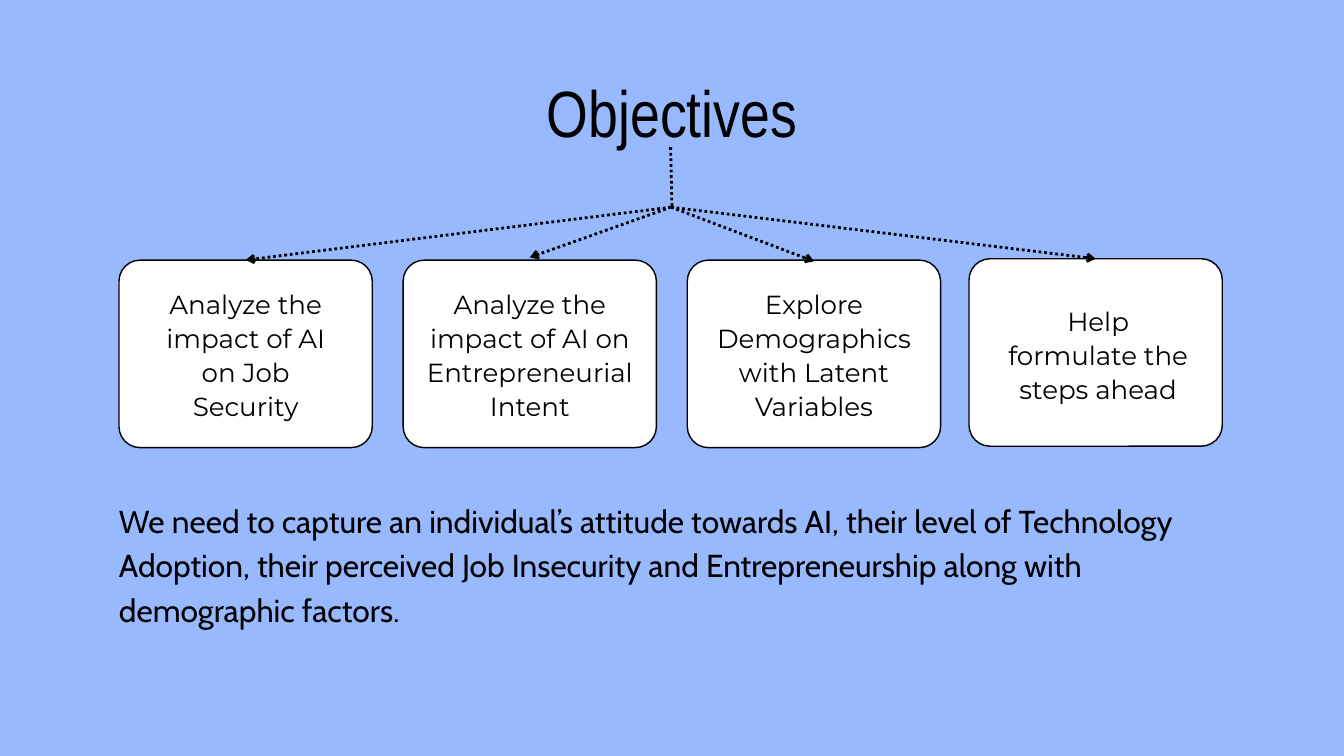
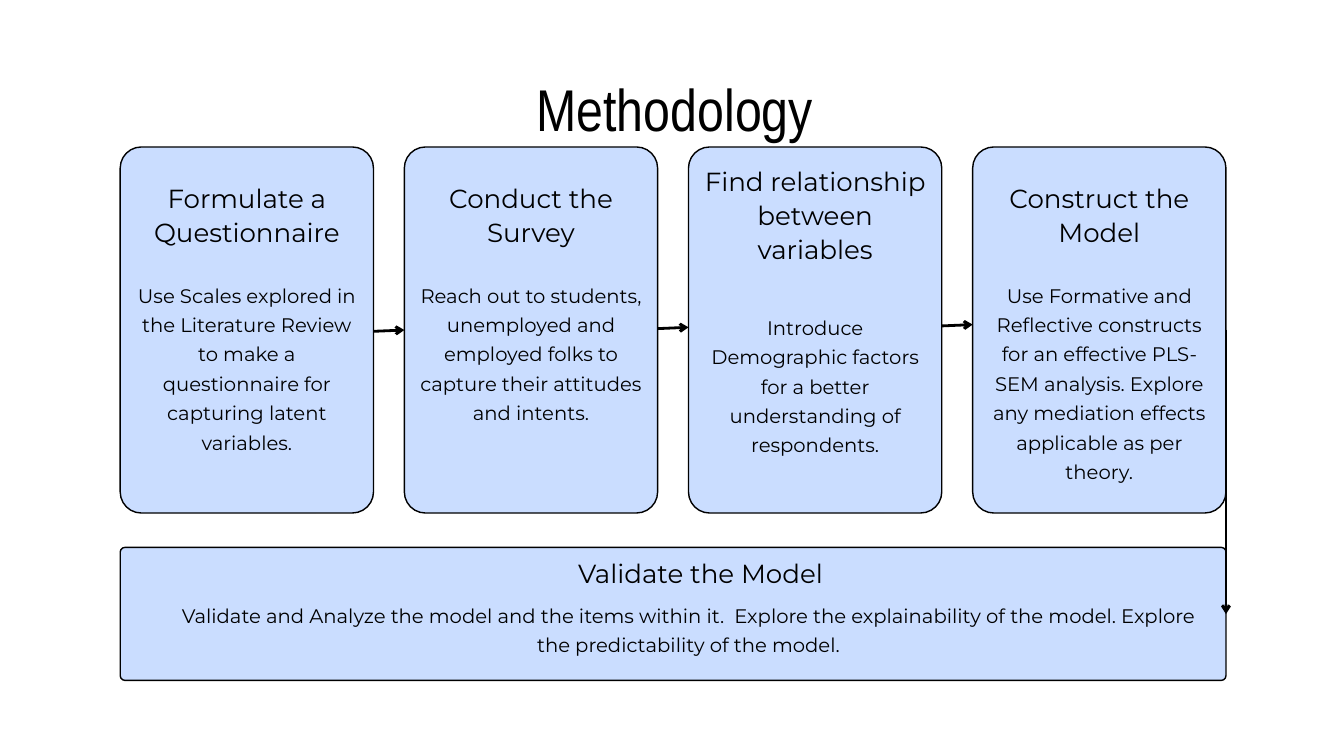
from dataclasses import dataclass

from lxml import etree
from pptx import Presentation
from pptx.dml.color import RGBColor
from pptx.enum.dml import MSO_LINE
from pptx.enum.shapes import MSO_CONNECTOR, MSO_SHAPE
from pptx.enum.text import MSO_ANCHOR, MSO_AUTO_SIZE, PP_ALIGN
from pptx.oxml.ns import qn
from pptx.util import Pt

CENTER = PP_ALIGN.CENTER
LEFT = PP_ALIGN.LEFT
TOP = MSO_ANCHOR.TOP
GROW = MSO_AUTO_SIZE.SHAPE_TO_FIT_TEXT
DOTTED = MSO_LINE.ROUND_DOT
STRAIGHT = MSO_CONNECTOR.STRAIGHT
ROUNDED = MSO_SHAPE.ROUNDED_RECTANGLE
TITLE_ONLY = 5


@dataclass(frozen=True)
class Theme:
    ink: str = "000000"
    white: str = "FFFFFF"
    sky: str = "99B9FF"
    pale_sky: str = "CADDFF"
    title_font: str = "Arial Narrow"
    card_font: str = "Montserrat"
    summary_font: str = "Cabin"
    heading_size: float = 28
    heading_spacing: float = 36.4
    body_size: float = 21
    body_spacing: float = 31.5
    summary_size: float = 34
    summary_spacing: float = 47.6
    outline: float = 1.5
    arrow: float = 3


THEME = Theme()
CARD_WIDTH = 271.4
CARD_PITCH = 304.45
CARD_RADIUS = 22.6


def write_text(frame, text, *, font, size, spacing, align=CENTER):
    frame.word_wrap = True
    frame.auto_size = GROW
    frame.vertical_anchor = TOP
    frame.margin_left = frame.margin_right = 0
    frame.margin_top = frame.margin_bottom = 0
    paragraph = frame.paragraphs[0]
    paragraph.alignment = align
    paragraph.line_spacing = Pt(spacing)
    run = paragraph.add_run()
    run.text = text
    run.font.name = font
    run.font.size = Pt(size)
    run.font.color.rgb = RGBColor.from_string(THEME.ink)


class Deck:
    def __init__(self, theme):
        self.theme = theme
        self.presentation = Presentation()
        self.presentation.slide_width = Pt(1440)
        self.presentation.slide_height = Pt(810)
        self.slide = None

    def start_slide(self, background):
        layout = self.presentation.slide_layouts[TITLE_ONLY]
        self.slide = self.presentation.slides.add_slide(layout)
        fill = self.slide.background.fill
        fill.solid()
        fill.fore_color.rgb = RGBColor.from_string(background)

    def title(self, text, left, top, height, size):
        shape = self.slide.shapes.title
        shape.left, shape.top = Pt(left), Pt(top)
        shape.width, shape.height = Pt(707), Pt(height)
        write_text(shape.text_frame, text, font=self.theme.title_font,
                   size=size, spacing=size + 0.7)

    def card(self, left, top, width, height, color, radius=CARD_RADIUS):
        shape = self.slide.shapes.add_shape(
            ROUNDED, Pt(left), Pt(top), Pt(width), Pt(height))
        shape.adjustments[0] = radius / min(width, height)
        shape.shadow.inherit = False
        shape.fill.solid()
        shape.fill.fore_color.rgb = RGBColor.from_string(color)
        shape.line.color.rgb = RGBColor.from_string(self.theme.ink)
        shape.line.width = Pt(self.theme.outline)

    def text(self, text, left, top, width, height, **style):
        shape = self.slide.shapes.add_textbox(
            Pt(left), Pt(top), Pt(width), Pt(height))
        write_text(shape.text_frame, text, **style)

    def heading(self, text, center, top, width, height):
        self.text(text, center - width / 2, top, width, height,
                  font=self.theme.card_font, size=self.theme.heading_size,
                  spacing=self.theme.heading_spacing)

    def body(self, text, center, top, width, height):
        self.text(text, center - width / 2, top, width, height,
                  font=self.theme.card_font, size=self.theme.body_size,
                  spacing=self.theme.body_spacing)

    def line(self, start, end, dash=None, arrow=True):
        connector = self.slide.shapes.add_connector(
            STRAIGHT, *(Pt(value) for value in (*start, *end)))
        connector.line.color.rgb = RGBColor.from_string(self.theme.ink)
        connector.line.width = Pt(self.theme.arrow)
        if dash is not None:
            connector.line.dash_style = dash
        properties = connector._element.spPr
        if arrow:
            outline = properties.find(qn("a:ln"))
            etree.SubElement(outline, qn("a:tailEnd"), type="arrow")
        etree.SubElement(properties, qn("a:effectLst"))


def build_objectives(deck):
    deck.start_slide(THEME.sky)
    deck.title("Objectives", 366.5, 90.7, 74.9, 70.1)
    first_left, card_top, card_height = 127.5, 278.7, 200.9
    hub = (719, 222)
    objectives = [
        ("Analyze the impact of AI on Job Security", 209.5, 306.7, 143.3, 278.6),
        ("Analyze the impact of AI on Entrepreneurial Intent", 239.8, 306.7, 143.3, 275.8),
        ("Explore Demographics with Latent Variables", 209.5, 306.7, 143.3, 280),
        ("Help formulate the steps ahead", 209.5, 324.7, 107.3, 277.2),
    ]
    last = len(objectives) - 1
    for index, (text, width, top, height, arrow_end) in enumerate(objectives):
        left = first_left + index * CARD_PITCH
        center = left + CARD_WIDTH / 2
        shift_x, shift_y = (-2.6, -1.5) if index == last else (0, 0)
        deck.card(left + shift_x, card_top + shift_y, CARD_WIDTH, card_height,
                  THEME.white)
        deck.heading(text, center, top, width, height)
        deck.line(hub, (center + shift_x, arrow_end), dash=DOTTED)
    deck.line((718.5, 157.7), (720, 223), dash=DOTTED, arrow=False)
    deck.text("We need to capture an individual’s attitude towards AI, their level "
              "of Technology Adoption, their perceived Job Insecurity and "
              "Entrepreneurship along with demographic factors.",
              first_left, 530.6, 1183, 140.4, font=THEME.summary_font,
              size=THEME.summary_size, spacing=THEME.summary_spacing, align=LEFT)


def build_methodology(deck):
    deck.start_slide(THEME.white)
    deck.title("Methodology", 369.4, 89.3, 68.4, 63.1)
    first_left, card_top, card_height = 128.8, 157.5, 392.2
    steps = [
        ("Formulate a Questionnaire", 192.2, 71.3,
         "Use Scales explored in the Literature Review to make a questionnaire "
         "for capturing latent variables.", 297.4, 187.2),
        ("Conduct the Survey", 192.2, 71.3,
         "Reach out to students, unemployed and employed folks to capture their "
         "attitudes and intents.", 297.4, 155.5),
        ("Find relationship between variables", 174.2, 143.3,
         "Introduce Demographic factors for a better understanding of "
         "respondents.", 331.9, 155.5),
        ("Construct the Model", 192.2, 71.3,
         "Use Formative and Reflective constructs for an effective PLS-SEM "
         "analysis. Explore any mediation effects applicable as per theory.",
         297.4, 218.9),
    ]
    for index, step in enumerate(steps):
        heading, heading_top, heading_height, body, body_top, body_height = step
        left = first_left + index * CARD_PITCH
        center = left + CARD_WIDTH / 2
        deck.card(left, card_top, CARD_WIDTH, card_height, THEME.pale_sky)
        deck.heading(heading, center, heading_top, 239.8, heading_height)
        deck.body(body, center, body_top, 239.8, body_height)

    right = first_left + 3 * CARD_PITCH + CARD_WIDTH
    deck.card(first_left, 586.5, right - first_left, 142.5, THEME.pale_sky, radius=5)
    deck.heading("Validate the Model", 750.6, 594.7, 300.2, 35.3)
    deck.body("Validate and Analyze the model and the items within it.  Explore the "
              "explainability of the model. Explore the predictability of the model.",
              737.6, 640.8, 1118.2, 61.2)

    for index in range(len(steps) - 1):
        left = first_left + index * CARD_PITCH
        height = 355 - index * 2.9
        deck.line((left + CARD_WIDTH, height), (left + CARD_PITCH, height - 1.4))
    deck.line((right, 353.5), (right, 658))


def main():
    deck = Deck(THEME)
    build_objectives(deck)
    build_methodology(deck)
    deck.presentation.save("out.pptx")


if __name__ == "__main__":
    main()
